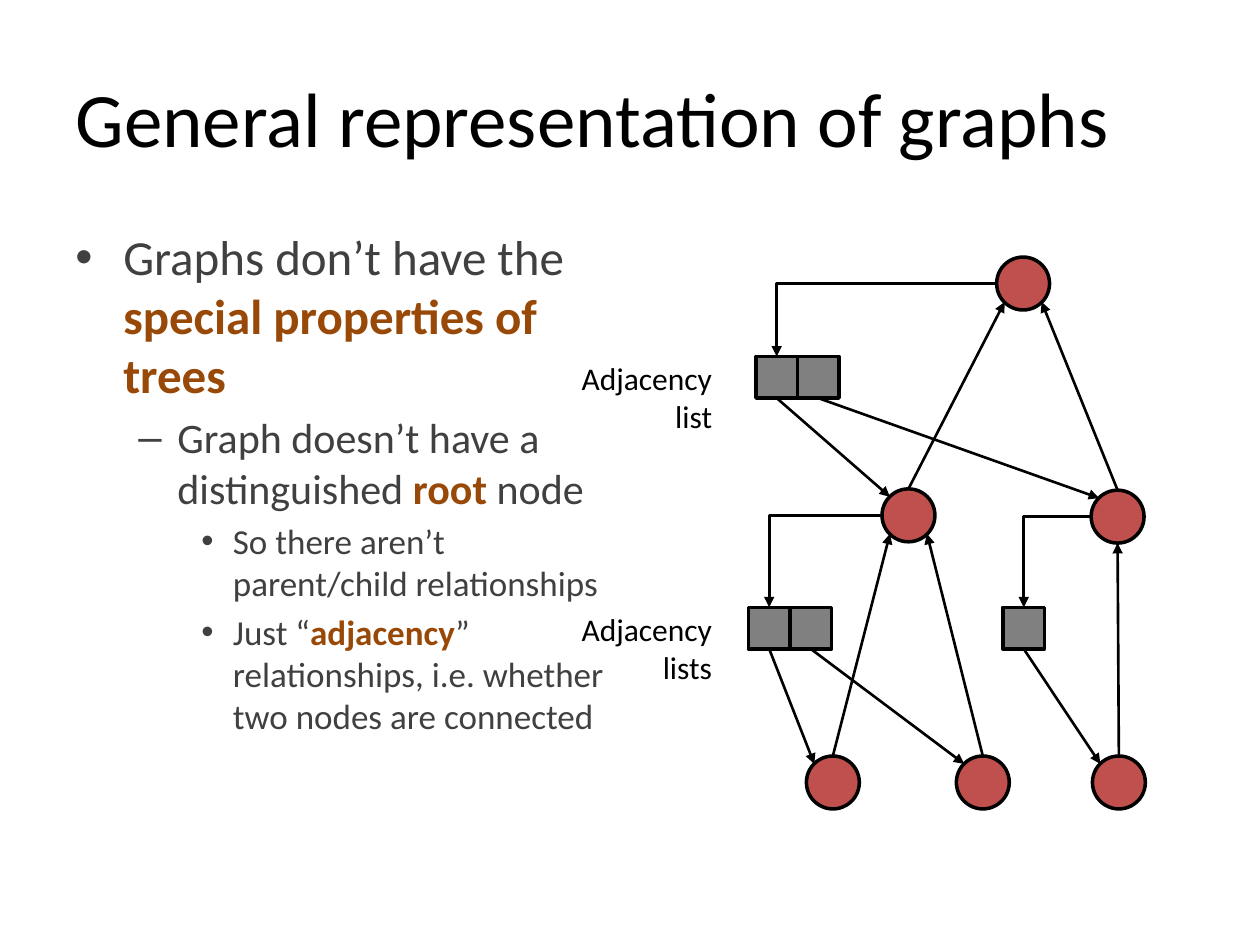
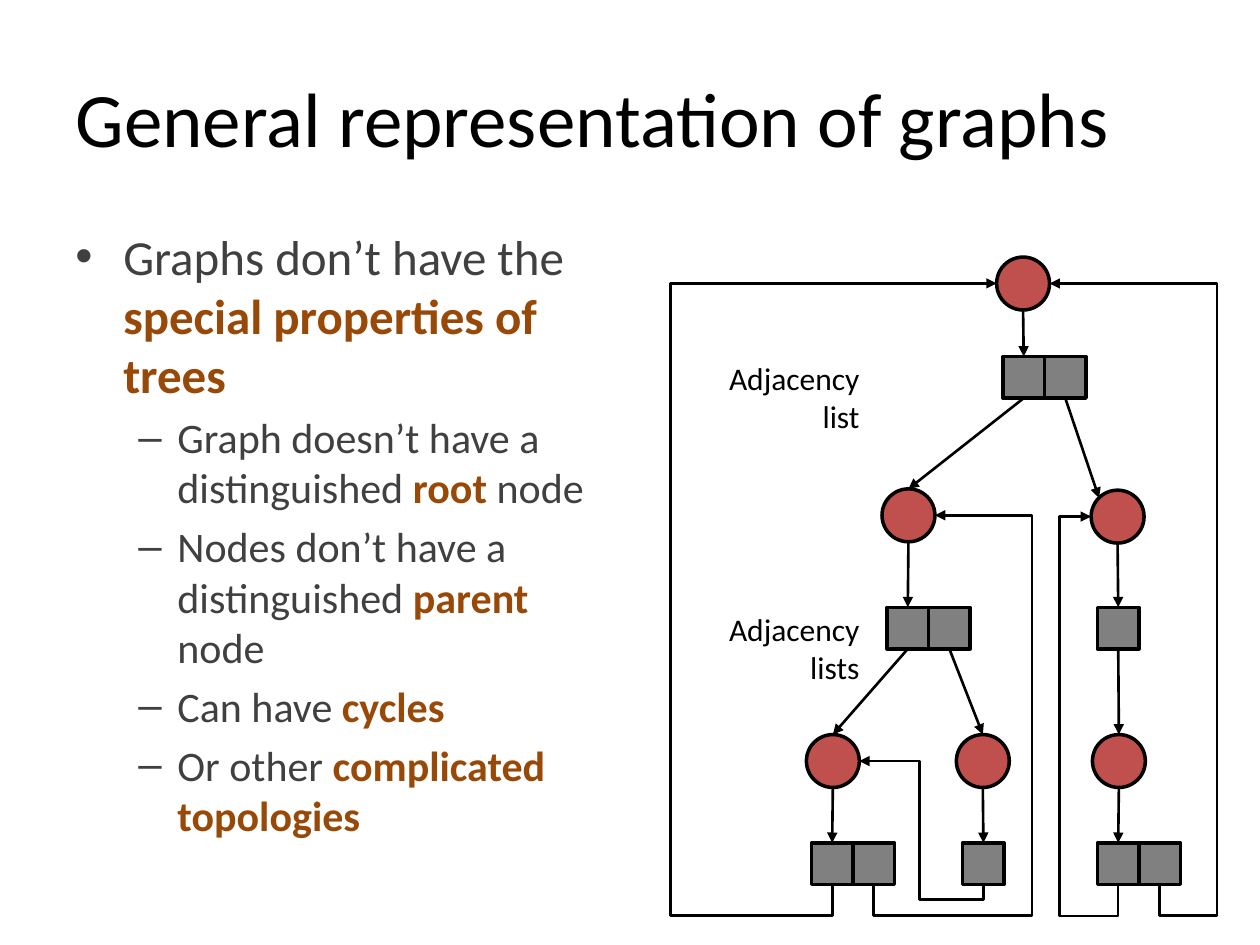
from pptx import Presentation
from pptx.dml.color import RGBColor
from pptx.enum.shapes import MSO_CONNECTOR as LINE, MSO_SHAPE as SHAPE
from pptx.enum.text import MSO_ANCHOR as ANCHOR, PP_ALIGN as ALIGN
from pptx.oxml.ns import qn
from pptx.util import Inches, Pt
from lxml.etree import SubElement

TITLE = "General representation of graphs"
TOP, BOTTOM, LEFT, RIGHT = (0.5, 0), (0.5, 1), (0, 0.5), (1, 0.5)
UPPER_LEFT, LOWER_LEFT, LOWER_RIGHT = (0.15, 0.15), (0.15, 0.85), (0.85, 0.85)
NODE, CELL = 0.42, 0.33
SHARED_BULLETS = [
    (0, "Graphs don’t have the *special properties of trees*"),
    (1, "Graph doesn’t have a distinguished *root *node"),
]


def color(hex_code):
    """Turn a hex string into a colour."""
    return RGBColor.from_string(hex_code)


def edge(shape, side):
    """Return the point of a shape at the given fractions of its box."""
    return shape.left + shape.width * side[0], shape.top + shape.height * side[1]


class GraphDeck:
    """Hold the style and the current slide, and draw each kind of element."""

    font = "Calibri"
    ink, gray, accent = "000000", "404040", "984807"
    node_fill, cell_fill = "C0504D", "808080"
    levels = [(28, 0.38, 0.38, "•"), (24, 0.81, 0.31, "–"), (20, 1.25, 0.25, "•")]

    def __init__(self):
        """Start an empty 10 by 7.5 inch deck."""
        self.deck = Presentation()
        self.deck.slide_width, self.deck.slide_height = Inches(10), Inches(7.5)
        self.slide = None

    def style(self, run, size, hex_code, bold=False):
        """Format one run."""
        run.font.name, run.font.size, run.font.bold = self.font, Pt(size), bold
        run.font.color.rgb = color(hex_code)

    def new_slide(self, title):
        """Add a slide with the shared title style."""
        self.slide = self.deck.slides.add_slide(self.deck.slide_layouts[5])
        heading = self.slide.shapes.title
        heading.left, heading.top = Inches(0.5), Inches(0.3)
        heading.width, heading.height = Inches(9), Inches(1.25)
        heading.text_frame.text = title
        heading.text_frame.vertical_anchor = ANCHOR.MIDDLE
        paragraph = heading.text_frame.paragraphs[0]
        paragraph.alignment = ALIGN.LEFT
        self.style(paragraph.runs[0], 44, self.ink)

    def bullets(self, items, height):
        """Write bulleted items, with asterisks around the accented words."""
        body = self.slide.shapes.add_textbox(
            Inches(0.5), Inches(1.75), Inches(4.42), Inches(height))
        frame = body.text_frame
        frame.word_wrap = True
        for index, (level, text) in enumerate(items):
            size, margin, hanging, mark = self.levels[level]
            paragraph = frame.add_paragraph() if index else frame.paragraphs[0]
            paragraph.level = level
            paragraph.space_before = Pt(size * 0.2 if index else 0)
            props = paragraph._p.get_or_add_pPr()
            props.set("marL", str(Inches(margin)))
            props.set("indent", str(-Inches(hanging)))
            SubElement(props, qn("a:buFont")).set("typeface", "Arial")
            SubElement(props, qn("a:buChar")).set("char", mark)
            for part, words in enumerate(text.split("*")):
                if words:
                    run = paragraph.add_run()
                    run.text = words
                    accented = part % 2 == 1
                    self.style(run, size, self.accent if accented else self.gray, accented)

    def label(self, text, x, y):
        """Write a right-aligned label, one paragraph a line."""
        box = self.slide.shapes.add_textbox(Inches(x), Inches(y), Inches(1.25), Inches(0.71))
        box.text_frame.word_wrap = False
        box.text_frame.text = text
        for paragraph in box.text_frame.paragraphs:
            paragraph.alignment = ALIGN.RIGHT
            self.style(paragraph.runs[0], 18, self.ink)

    def outlined(self, kind, x, y, size, fill):
        """Draw a filled shape with a black outline."""
        shape = self.slide.shapes.add_shape(
            kind, Inches(x), Inches(y), Inches(size), Inches(size))
        shape.shadow.inherit = False
        shape.fill.solid()
        shape.fill.fore_color.rgb = color(fill)
        shape.line.color.rgb = color(self.ink)
        shape.line.width = Pt(2)
        return shape

    def node(self, x, y):
        """Draw a graph node."""
        return self.outlined(SHAPE.OVAL, x, y, NODE, self.node_fill)

    def adjacency(self, x, y, count):
        """Draw an adjacency list and return its cells."""
        return [self.outlined(SHAPE.RECTANGLE, x + i * CELL, y, CELL, self.cell_fill)
                for i in range(count)]

    def connector(self, kind, start, end):
        """Draw a black connector with an arrowhead at its end."""
        link = self.slide.shapes.add_connector(kind, *(round(v) for v in (*start, *end)))
        link.line.color.rgb = color(self.ink)
        link.line.width = Pt(1.5)
        SubElement(link.line._get_or_add_ln(), qn("a:tailEnd")).set("type", "triangle")
        SubElement(link._element.spPr, qn("a:effectLst"))
        return link

    def arrow(self, source, source_side, target, target_side):
        """Draw a straight arrow between two shapes."""
        self.connector(LINE.STRAIGHT, edge(source, source_side), edge(target, target_side))

    def corner(self, node, cell):
        """Draw an arrow that goes left from a node, then down to a cell."""
        link = self.connector(LINE.ELBOW, edge(node, LEFT), edge(cell, TOP))
        link._element.spPr.find(qn("a:prstGeom")).set("prst", "bentConnector2")

    def detour(self, cell, node, side, floor, lane):
        """Draw an arrow down from a cell to floor, along to lane and back to a node."""
        (x1, y1), (x2, y2) = edge(cell, BOTTOM), edge(node, side)
        mid_x, mid_y, dx, dy = (x1 + x2) / 2, (y1 + y2) / 2, x2 - x1, y2 - y1
        link = self.connector(LINE.ELBOW, (mid_x - dy / 2, mid_y + dx / 2),
                              (mid_x + dy / 2, mid_y - dx / 2))
        props = link._element.spPr
        props.find(qn("a:xfrm")).set("rot", "5400000")
        geometry = props.find(qn("a:prstGeom"))
        geometry.set("prst", "bentConnector4")
        guides = geometry.find(qn("a:avLst"))
        shares = (Inches(floor) - y1) / dy, (Inches(lane) - x1) / dx
        for number, share in enumerate(shares, 1):
            guide = SubElement(guides, qn("a:gd"))
            guide.set("name", f"adj{number}")
            guide.set("fmla", f"val {round(share * 100000)}")

    def graph(self, leaf_top, label_left):
        """Draw the six nodes and the two labels, and return the nodes."""
        self.label("Adjacency\nlist", label_left, 2.8)
        self.label("Adjacency\nlists", label_left, 4.79)
        places = [(7.91, 2.04), (7, 3.88), (8.66, 3.89)]
        places += [(x, leaf_top) for x in (6.4, 7.59, 8.67)]
        return [self.node(x, y) for x, y in places]


def parent_slide(deck):
    """Build the slide on adjacency without a root."""
    deck.new_slide(TITLE)
    deck.bullets(SHARED_BULLETS + [
        (2, "So there aren’t parent/child relationships"),
        (2, "Just “*adjacency*” relationships, i.e. whether two nodes are connected"),
    ], 5.42)
    root, left, right, *leaves = deck.graph(6, 4.5)
    families = [
        (root, [left, right], (6, 2.83)),
        (left, leaves[:2], (5.94, 4.82)),
        (right, leaves[2:], (7.96, 4.82)),
    ]
    for parent, children, place in families:
        cells = deck.adjacency(*place, len(children))
        deck.corner(parent, cells[0])
        sides = [LOWER_LEFT, LOWER_RIGHT] if len(children) > 1 else [BOTTOM]
        for cell, child, side in zip(cells, children, sides):
            deck.arrow(cell, BOTTOM, child, UPPER_LEFT)
            deck.arrow(child, TOP, parent, side)


def cycle_slide(deck):
    """Build the slide on cycles and other topologies."""
    deck.new_slide(TITLE)
    deck.bullets(SHARED_BULLETS + [
        (1, "Nodes don’t have a distinguished *parent *node"),
        (1, "Can have *cycles*"),
        (1, "Or other *complicated topologies*"),
    ], 5.5)
    root, left, right, *leaves = nodes = deck.graph(5.83, 5.67)
    list_places = [(7.96, 2.83, 2), (7.04, 4.82, 2), (8.71, 4.82, 1),
                   (6.44, 6.69, 2), (7.64, 6.69, 1), (8.71, 6.69, 2)]
    lists = [deck.adjacency(*place) for place in list_places]
    for node, cells in zip(nodes, lists):
        deck.arrow(node, BOTTOM, cells[0], TOP)
    targets = [(left, TOP), (right, UPPER_LEFT)] + [(leaf, TOP) for leaf in leaves]
    for cell, (child, side) in zip(sum(lists[:3], []), targets):
        deck.arrow(cell, BOTTOM, child, side)
    first, second, third = lists[3:]
    for cell, node, side, floor, lane in [
        (first[0], root, LEFT, 7.27, 5.32),
        (first[1], left, RIGHT, 7.27, 8.19),
        (second[0], leaves[0], RIGHT, 7.14, 7.3),
        (third[0], right, LEFT, 7.27, 8.41),
        (third[1], root, RIGHT, 7.27, 9.66),
    ]:
        deck.detour(cell, node, side, floor, lane)


def main():
    """Build and save the deck."""
    deck = GraphDeck()
    parent_slide(deck)
    cycle_slide(deck)
    deck.deck.save("out.pptx")


if __name__ == "__main__":
    main()
